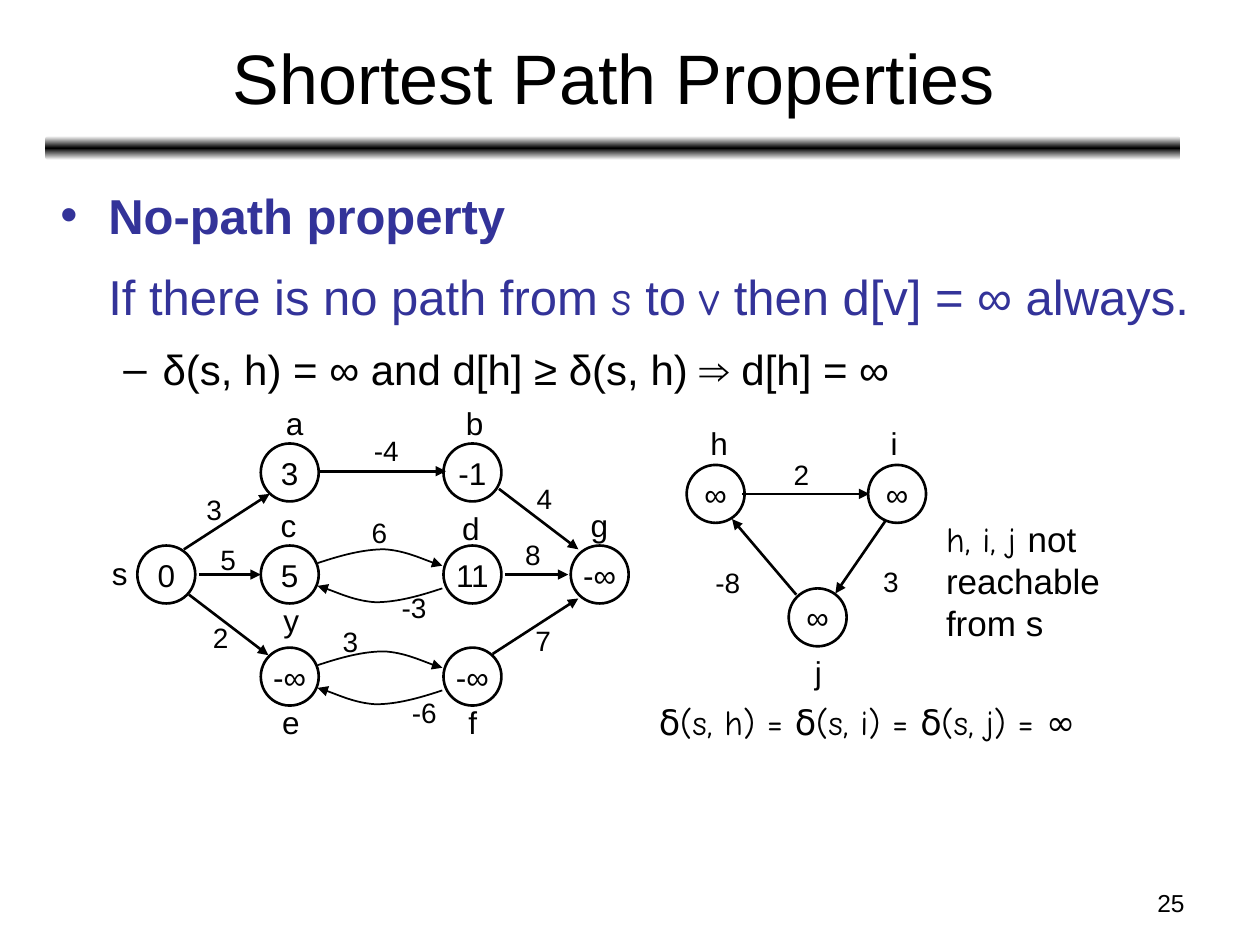
from lxml import etree
from pptx import Presentation
from pptx.dml.color import RGBColor
from pptx.enum.shapes import MSO_CONNECTOR, MSO_SHAPE
from pptx.enum.text import MSO_ANCHOR, MSO_AUTO_SIZE, PP_ALIGN
from pptx.oxml.ns import qn
from pptx.util import Inches, Pt

LEFT, CENTER, RIGHT = PP_ALIGN.LEFT, PP_ALIGN.CENTER, PP_ALIGN.RIGHT
TOP, MIDDLE = MSO_ANCHOR.TOP, MSO_ANCHOR.MIDDLE
FIXED = MSO_AUTO_SIZE.NONE
OVAL, ROUND = MSO_SHAPE.OVAL, MSO_SHAPE.ROUNDED_RECTANGLE
STRAIGHT = MSO_CONNECTOR.STRAIGHT
COLORS = {"ink": "000000", "blue": "333399", "paper": "FFFFFF"}
SANS, HAND = "Arial", "Comic Neue"
ARC = [(0, 0.11), (0.18, 0.05), (0.36, 0), (0.53, 0),
       (0.69, 0.01), (0.91, 0.11), (0.99, 0.13)]


def write(frame, runs, size=18, font=SANS, color="ink", bold=False, align=LEFT):
    para = frame.paragraphs[0]
    if para.runs:
        para = frame.add_paragraph()
    para.alignment = align
    for words, face in [(runs, font)] if isinstance(runs, str) else runs:
        run = para.add_run()
        run.text = words
        run.font.name, run.font.size, run.font.bold = face, Pt(size), bold
        run.font.color.rgb = RGBColor.from_string(COLORS[color])
    return para


class Board:
    node_size = 0.46

    def __init__(self, slide):
        self.slide = slide
        self.shapes = slide.shapes

    def place(self, shape, x, y, w, h):
        shape.left, shape.top = Inches(x), Inches(y)
        shape.width, shape.height = Inches(w), Inches(h)

    def stroke(self, shape, width, arrow=False):
        shape.line.color.rgb = RGBColor.from_string(COLORS["ink"])
        shape.line.width = Pt(width)
        if arrow:
            line = shape.line._get_or_add_ln()
            etree.SubElement(line, qn("a:tailEnd"), type="triangle")

    def rule(self, x, y, w, h):
        bar = self.shapes.add_shape(
            ROUND, Inches(x), Inches(y), Inches(w), Inches(h))
        bar.shadow.inherit = False
        bar.line.fill.background()
        bar.fill.gradient()
        bar.fill.gradient_angle = 90
        stops = bar._element.spPr.find(".//" + qn("a:gsLst"))
        for stop in list(stops):
            stops.remove(stop)
        for pos, name in ((0, "paper"), (50, "ink"), (100, "paper")):
            stop = etree.SubElement(stops, qn("a:gs"), pos=str(pos * 1000))
            etree.SubElement(stop, qn("a:srgbClr"), val=COLORS[name])

    def title(self, words, x, y, w, h):
        shape = self.shapes.title
        self.place(shape, x, y, w, h)
        shape.text_frame.vertical_anchor = MIDDLE
        write(shape.text_frame, words, size=40, align=CENTER)

    def body(self, x, y, w, h):
        shape = self.slide.placeholders[1]
        self.place(shape, x, y, w, h)
        frame = shape.text_frame
        frame.auto_size, frame.vertical_anchor = FIXED, TOP
        return frame

    def item(self, frame, runs, margin, indent, mark=None, level=0, **style):
        para = write(frame, runs, **style)
        para.level, para.line_spacing = level, 1.2
        para.space_before = Pt(style["size"] * 0.2)
        props = para._p.get_or_add_pPr()
        props.set("marL", str(Inches(margin)))
        props.set("indent", str(Inches(indent)))
        if mark:
            etree.SubElement(props, qn("a:buChar"), char=mark)
        else:
            etree.SubElement(props, qn("a:buNone"))

    def text(self, lines, x, y, w, h, wrap=False, **style):
        box = self.shapes.add_textbox(Inches(x), Inches(y), Inches(w), Inches(h))
        box.text_frame.word_wrap = wrap
        for line in lines:
            write(box.text_frame, line, **style)

    def name(self, words, x, y):
        self.text([words], x, y, 0.27 if words in "fij" else 0.34, 0.4)

    def weight(self, words, x, y):
        self.text([words], x, y, 0.32 if len(words) == 1 else 0.4, 0.37, size=16)

    def node(self, words, x, y):
        side = Inches(self.node_size)
        shape = self.shapes.add_shape(OVAL, Inches(x), Inches(y), side, side)
        shape.shadow.inherit = False
        shape.fill.background()
        self.stroke(shape, 1.5)
        shape.text_frame.word_wrap = False
        shape.text_frame.vertical_anchor = MIDDLE
        write(shape.text_frame, words, align=CENTER)

    def edge(self, *ends):
        line = self.shapes.add_connector(STRAIGHT, *map(Inches, ends))
        self.stroke(line, 1.5, arrow=True)
        etree.SubElement(line._element.spPr, qn("a:effectLst"))

    def arc(self, x, y, sign):
        points = [(Inches(x + sign * dx), Inches(y + sign * dy)) for dx, dy in ARC]
        pen = self.shapes.build_freeform(*points[0])
        pen.add_line_segments(points[1:], close=False)
        shape = pen.convert_to_shape()
        shape.shadow.inherit = False
        shape.fill.background()
        self.stroke(shape, 1, arrow=True)
        track = shape._element.spPr.find(".//" + qn("a:path"))
        steps = track.findall(qn("a:lnTo"))
        for start in range(0, len(steps), 3):
            curve = etree.SubElement(track, qn("a:cubicBezTo"))
            for step in steps[start:start + 3]:
                curve.append(step[0])
                track.remove(step)


def main():
    deck = Presentation()
    deck.slide_width, deck.slide_height = Inches(10), Inches(7.5)
    board = Board(deck.slides.add_slide(deck.slide_layouts[1]))
    board.rule(0.36, 1.08, 9.01, 0.19)
    board.text(["25"], 7.17, 7, 2.33, 0.35, wrap=True, size=14, align=RIGHT)
    board.title("Shortest Path Properties", 0.37, 0.11, 9, 0.99)

    frame = board.body(0.38, 1.33, 9.33, 5.55)
    board.item(frame, "No-path property", 0.38, -0.38, "•",
               size=28, color="blue", bold=True)
    claim = [("If there is no path from ", SANS), ("s", HAND), (" to ", SANS),
             ("v", HAND), (" then d[v] = ∞ always.", SANS)]
    board.item(frame, claim, 0.38, 0, size=28, color="blue")
    board.item(frame, "δ(s, h) = ∞ and d[h] ≥ δ(s, h) ⇒ d[h] = ∞",
               0.81, -0.31, "–", level=1, size=24)

    cols, rows = (1.09, 2.07, 3.52, 4.53), (3.52, 4.33, 5.14)
    for words, col, row in (
            ("0", 0, 1), ("3", 1, 0), ("-1", 2, 0), ("5", 1, 1), ("11", 2, 1),
            ("-∞", 1, 2), ("-∞", 2, 2), ("-∞", 3, 1)):
        board.node(words, cols[col], rows[row])
    for x, y in ((5.45, 3.69), (6.89, 3.69), (6.26, 4.67)):
        board.node("∞", x, y)

    for ends in (
            (2.53, 3.74, 3.54, 3.74), (1.46, 4.36, 2.14, 3.92),
            (1.5, 4.72, 2.13, 5.2), (3.96, 3.88, 4.59, 4.36),
            (3.91, 5.19, 4.59, 4.75), (1.58, 4.56, 2.07, 4.56),
            (4.01, 4.56, 4.51, 4.56), (5.89, 3.92, 6.9, 3.92),
            (7.03, 4.13, 6.63, 4.71), (6.32, 4.72, 5.81, 4.12)):
        board.edge(*ends)
    for row in rows[1:]:
        board.arc(2.52, row + 0.03, 1)
        board.arc(3.51, row + 0.45, -1)

    for words, x, y in (
            ("s", 0.79, 4.35), ("a", 2.17, 3.16), ("b", 3.6, 3.16),
            ("c", 2.13, 3.97), ("d", 3.57, 3.99), ("g", 4.59, 3.97),
            ("y", 2.15, 4.72), ("e", 2.14, 5.53), ("f", 3.62, 5.53),
            ("h", 5.54, 3.32), ("i", 6.97, 3.32), ("j", 6.37, 5.13)):
        board.name(words, x, y)
    for words, x, y in (
            ("3", 1.54, 3.86), ("-4", 2.87, 3.39), ("2", 1.59, 4.88),
            ("8", 4.07, 4.22), ("-6", 3.17, 5.47), ("-3", 3.09, 4.64),
            ("3", 2.62, 4.91), ("5", 1.65, 4.26), ("6", 2.85, 4.04),
            ("4", 4.16, 3.77), ("7", 4.15, 4.9), ("2", 6.2, 3.58),
            ("3", 6.91, 4.43), ("-8", 5.58, 4.44)):
        board.weight(words, x, y)

    board.text(["δ(s, h) = δ(s, i) = δ(s, j) = ∞"],
               5.13, 5.51, 3.59, 0.43, size=20, font=HAND)
    board.text([[("h, i, j ", HAND), ("not", SANS)], "reachable", "from s"],
               7.41, 4.06, 1.42, 1.1, size=20)
    deck.save("out.pptx")


if __name__ == "__main__":
    main()
